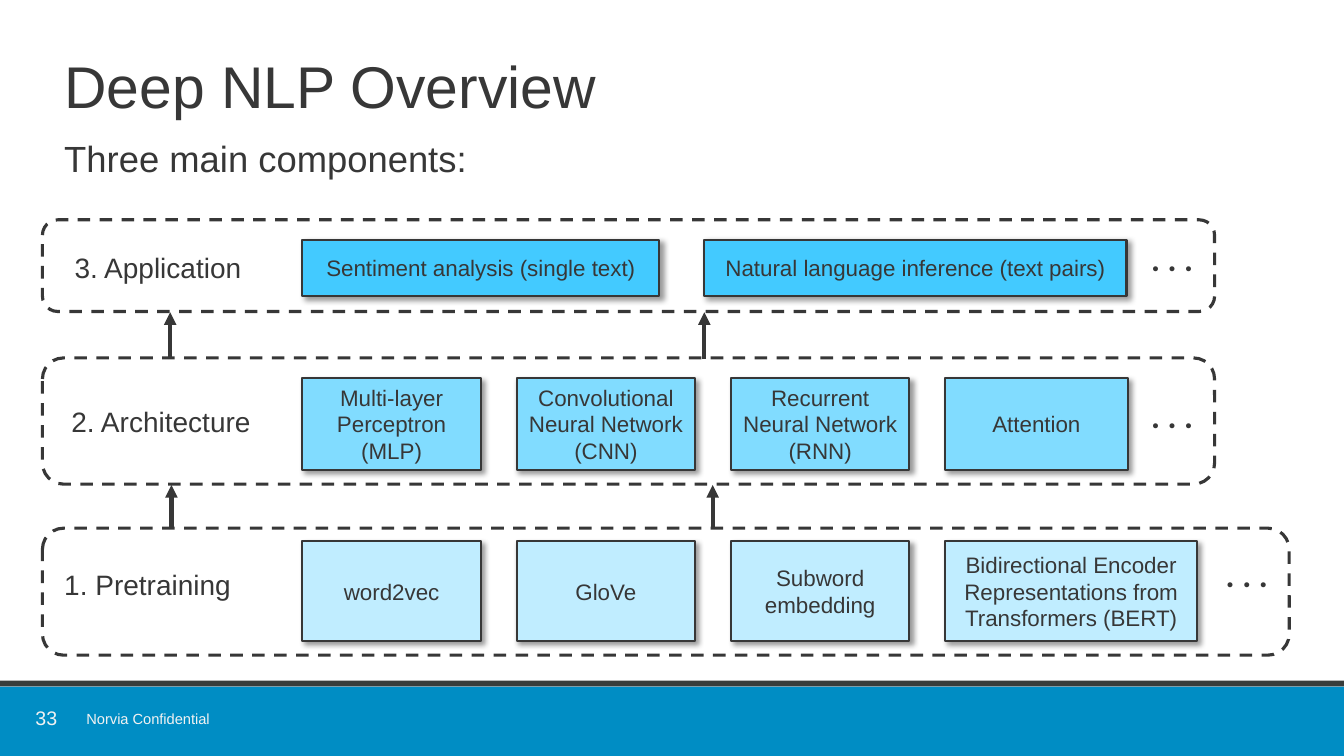
from lxml.etree import SubElement
from pptx import Presentation
from pptx.dml.color import RGBColor
from pptx.enum.dml import MSO_LINE as Dash
from pptx.enum.shapes import MSO_CONNECTOR as Connector, MSO_SHAPE as Shape
from pptx.enum.text import MSO_ANCHOR as Anchor, PP_ALIGN as Align
from pptx.oxml.ns import qn
from pptx.util import Cm, Pt

WIDTH, HEIGHT = 33.87, 19.05
INK = RGBColor(0x37, 0x37, 0x37)
BLACK_RULE = RGBColor(0x38, 0x3D, 0x3B)
FOOTER_BLUE = RGBColor(0x00, 0x8D, 0xC4)
FOOTER_TEXT = RGBColor(0xF2, 0xF2, 0xF2)
PALE_BLUE = RGBColor(0xC0, 0xED, 0xFF)
MID_BLUE = RGBColor(0x81, 0xDC, 0xFF)
STRONG_BLUE = RGBColor(0x43, 0xCA, 0xFF)

# Boxes sit in columns measured from the left edge of their band
FIRST_COLUMN, COLUMN_STEP, BOX_WIDTH = 6.55, 5.4, 4.5


def columns(last_width):
    widths = [BOX_WIDTH] * 3 + [last_width]
    return [(FIRST_COLUMN + COLUMN_STEP * i, width) for i, width in enumerate(widths)]


# area: left, top, width, height; label and dots are offsets inside the band
BANDS = [
    {"area": (1.07, 13.31, 31.42, 3.2), "color": PALE_BLUE,
     "label": ("1. Pretraining", 0.3, 0.86), "dots_top": 0.53,
     "box_top": 0.32, "box_height": 2.53, "columns": columns(6.35),
     "boxes": ["word2vec", "GloVe", "Subword embedding",
               "Bidirectional Encoder Representations from Transformers (BERT)"]},
    {"area": (1.07, 9.02, 29.54, 3.18), "color": MID_BLUE,
     "label": ("2. Architecture", 0.48, 1.04), "dots_top": 0.81,
     "box_top": 0.51, "box_height": 2.31, "columns": columns(4.6),
     "boxes": ["Multi-layer Perceptron (MLP)", "Convolutional Neural Network (CNN)",
               "Recurrent Neural Network (RNN)", "Attention"]},
    {"area": (1.07, 5.54, 29.54, 2.31), "color": STRONG_BLUE,
     "label": ("3. Application", 0.56, 0.66), "dots_top": 0.33,
     "box_top": 0.5, "box_height": 1.42,
     "columns": [(FIRST_COLUMN, 9), (16.68, 10.64)],
     "boxes": ["Sentiment analysis (single text)",
               "Natural language inference (text pairs)"]},
]

# Horizontal places of the arrows leading up from each of the lower bands
ARROWS = [(4.32, 17.96), (4.29, 17.75)]


def set_values(target, values):
    for name, value in values.items():
        setattr(target, name, value)


def write(shape, text, size, color=INK, font="Arial", bold=False, frame=None, paragraph=None):
    text_frame = shape.text_frame
    set_values(text_frame, {"word_wrap": True, **(frame or {})})
    first = text_frame.paragraphs[0]
    first.text = text
    set_values(first, paragraph or {})
    set_values(first.font, {"name": font, "size": Pt(size), "bold": bold})
    first.font.color.rgb = color


def add_text(slide, area, text, size, **style):
    box = slide.shapes.add_textbox(*map(Cm, area))
    write(box, text, size, **style)


def add_panel(slide, kind, area, fill=None, line_width=None):
    shape = slide.shapes.add_shape(kind, *map(Cm, area))
    shape.shadow.inherit = False
    if fill is None:
        shape.fill.background()
    else:
        shape.fill.solid()
        shape.fill.fore_color.rgb = fill
    if line_width is None:
        shape.line.fill.background()
    else:
        shape.line.color.rgb = INK
        shape.line.width = Pt(line_width)
    return shape


def add_drop_shadow(shape):
    effects = shape.element.spPr.find(qn("a:effectLst"))
    shadow = SubElement(effects, qn("a:outerShdw"), blurRad=str(Pt(4)), dist=str(Pt(3)),
                        dir="2700000", algn="tl", rotWithShape="0")
    color = SubElement(shadow, qn("a:srgbClr"), val="000000")
    SubElement(color, qn("a:alpha"), val="40000")


def add_heading(slide, left, top, width):
    add_text(slide, (left, top, width, 2.1), "Deep NLP Overview", 42,
             paragraph={"line_spacing": 0.9})
    add_text(slide, (left, top + 2.11, width, 1.4), "Three main components:", 26,
             paragraph={"line_spacing": 0.9})


def add_band(slide, band):
    left, top, width, height = band["area"]
    frame = add_panel(slide, Shape.ROUNDED_RECTANGLE, band["area"], line_width=2.25)
    frame.line.dash_style = Dash.DASH

    # Component boxes
    for text, (offset, box_width) in zip(band["boxes"], band["columns"]):
        area = (left + offset, top + band["box_top"], box_width, band["box_height"])
        box = add_panel(slide, Shape.RECTANGLE, area, band["color"], 1.5)
        add_drop_shadow(box)
        write(box, text, 16, frame={"vertical_anchor": Anchor.MIDDLE},
              paragraph={"alignment": Align.CENTER})

    # Label and trailing dots
    label, label_left, label_top = band["label"]
    add_text(slide, (left + label_left, top + label_top, 5.5, 1.12), label, 20)
    add_text(slide, (left + width - 1.85, top + band["dots_top"], 1.9, 1.27), ". . .", 24,
             font="Calibri", bold=True)


def add_arrow(slide, x, bottom, top):
    arrow = slide.shapes.add_connector(Connector.STRAIGHT, Cm(x), Cm(bottom), Cm(x), Cm(top))
    arrow.line.color.rgb = INK
    arrow.line.width = Pt(3)
    properties = arrow.element.spPr
    SubElement(properties.find(qn("a:ln")), qn("a:tailEnd"), type="triangle")
    SubElement(properties, qn("a:effectLst"))


def add_footer(slide, top):
    add_panel(slide, Shape.RECTANGLE, (0, top + 0.15, WIDTH, HEIGHT - top - 0.15), FOOTER_BLUE)
    add_panel(slide, Shape.RECTANGLE, (0, top, WIDTH, 0.15), BLACK_RULE)
    no_margins = dict.fromkeys(("margin_left", "margin_top", "margin_right", "margin_bottom"), 0)
    add_text(slide, (0.84, top + 0.68, 0.66, 0.58), "33", 14, color=FOOTER_TEXT,
             frame={**no_margins, "vertical_anchor": Anchor.MIDDLE, "word_wrap": False},
             paragraph={"alignment": Align.CENTER, "line_spacing": 0.9})
    add_text(slide, (1.93, top + 0.6, 4.06, 0.71), "Norvia Confidential", 10.5,
             color=FOOTER_TEXT, frame={"word_wrap": False})


def main():
    presentation = Presentation()
    set_values(presentation, {"slide_width": Cm(WIDTH), "slide_height": Cm(HEIGHT)})
    slide = presentation.slides.add_slide(presentation.slide_layouts[6])

    add_footer(slide, 17.15)
    add_heading(slide, 1.37, 1.32, 29.5)
    for band in BANDS:
        add_band(slide, band)

    # Arrows from each band to the one above
    for lower, upper, places in zip(BANDS, BANDS[1:], ARROWS):
        upper_bottom = upper["area"][1] + upper["area"][3]
        for x in places:
            add_arrow(slide, x, lower["area"][1] + 0.03, upper_bottom + 0.02)

    presentation.save("out.pptx")


if __name__ == "__main__":
    main()
